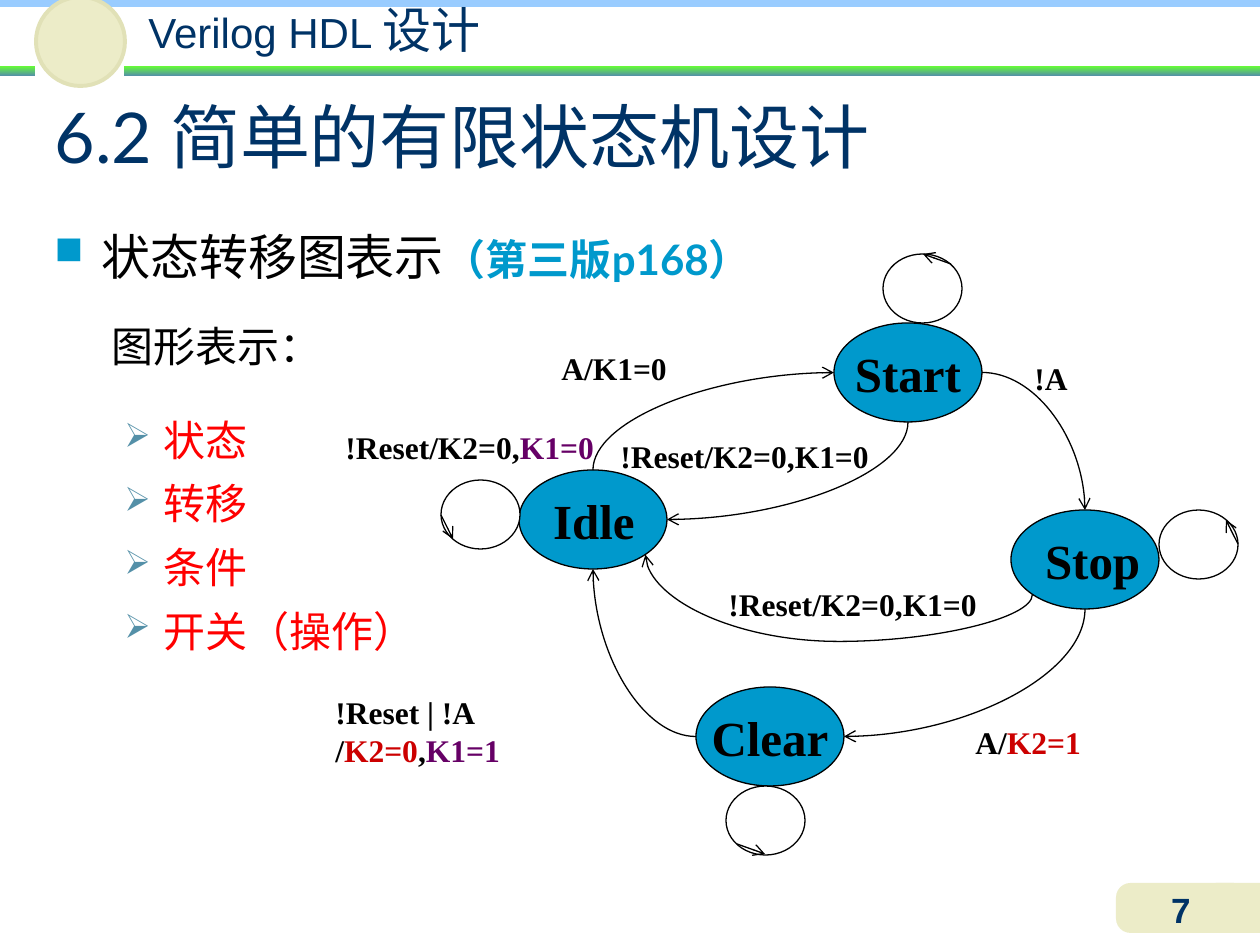
from lxml.etree import SubElement
from pptx import Presentation
from pptx.dml.color import RGBColor
from pptx.enum.shapes import MSO_CONNECTOR, MSO_SHAPE
from pptx.enum.text import MSO_ANCHOR, PP_ALIGN
from pptx.oxml.ns import qn
from pptx.util import Emu, Pt

SCALE = 914400 / 126
NAVY = RGBColor(0x00, 0x33, 0x66)
BLUE = RGBColor(0x00, 0x99, 0xCC)
SKY = RGBColor(0x99, 0xCC, 0xFF)
TEAL = RGBColor(0x54, 0x90, 0xA8)
GREEN = RGBColor(0x66, 0xFF, 0x33)
CREAM = RGBColor(0xEC, 0xEC, 0xC8)
CREAM_EDGE = RGBColor(0xE1, 0xE1, 0xB7)
RED = RGBColor(0xFF, 0x00, 0x00)
CRIMSON = RGBColor(0xCC, 0x00, 0x00)
PURPLE = RGBColor(0x66, 0x00, 0x66)
BLACK = RGBColor(0x00, 0x00, 0x00)
WHITE = RGBColor(0xFF, 0xFF, 0xFF)
SERIF = "Times New Roman"
CJK = "Noto Sans CJK SC"


def px(*lengths):
    """Turn pixel lengths into EMU."""
    return [Emu(round(length * SCALE)) for length in lengths]


def write(paragraph, parts, font="Lato", bold=False):
    """Fill a paragraph with (text, size, colour) runs."""
    for text, size, color in parts:
        run = paragraph.add_run()
        run.text = text
        run.font.size, run.font.name, run.font.bold = Pt(size), font, bold
        run.font.color.rgb = color
        SubElement(run.font._element, qn("a:ea")).set("typeface", CJK)


def add_text(slide, box, parts, font="Lato", bold=False, wrap=True):
    """Add a text box and return its first paragraph."""
    frame = slide.shapes.add_textbox(*px(*box)).text_frame
    frame.word_wrap = wrap
    write(frame.paragraphs[0], parts, font, bold)
    return frame.paragraphs[0]


def add_solid(slide, kind, box, fill, line=None, width=0.75):
    """Add a filled preset shape, outlined when a line colour is given."""
    shape = slide.shapes.add_shape(kind, *px(*box))
    shape.shadow.inherit = False
    shape.fill.solid()
    shape.fill.fore_color.rgb = fill
    if line is None:
        shape.line.fill.background()
    else:
        shape.line.color.rgb = line
        shape.line.width = Pt(width)
    return shape


def set_bullet(paragraph, mark, color, margin, indent):
    """Give a paragraph a coloured bullet and a hanging indent."""
    properties = paragraph._p.get_or_add_pPr()
    for name, length in zip(("marL", "indent"), px(margin, indent)):
        properties.set(name, str(length))
    bullet_color = SubElement(properties, qn("a:buClr"))
    SubElement(bullet_color, qn("a:srgbClr")).set("val", str(color))
    SubElement(properties, qn("a:buSzPct")).set("val", "80000")
    SubElement(properties, qn("a:buChar")).set("char", mark)


def add_arrow(slide, kind, start, end):
    """Add a thin black connector with an open arrowhead at its end."""
    connector = slide.shapes.add_connector(kind, *px(*start, *end))
    connector.line.color.rgb = BLACK
    connector.line.width = Pt(0.75)
    SubElement(connector.line._get_or_add_ln(), qn("a:tailEnd")).set("type", "arrow")
    SubElement(connector._element.spPr, qn("a:effectLst"))
    return connector


def add_transition(slide, source, source_site, target, target_site, turn, adjust=None):
    """Curve from one state to another; turn is the clockwise rotation of the curve."""
    start, end = site_point(source, source_site), site_point(target, target_site)
    connector = add_arrow(slide, MSO_CONNECTOR.CURVE, start, end)
    links = connector._element.find(".//" + qn("p:cNvCxnSpPr"))
    for tag, shape, site in (("a:stCxn", source, source_site), ("a:endCxn", target, target_site)):
        link = SubElement(links, qn(tag))
        link.set("id", str(shape.shape_id))
        link.set("idx", str(site))
    width, height = abs(end[0] - start[0]), abs(end[1] - start[1])
    if turn % 180:
        width, height = height, width
    left = (start[0] + end[0] - width) / 2
    top = (start[1] + end[1] - height) / 2
    connector.left, connector.top, connector.width, connector.height = px(left, top, width, height)
    frame = connector._element.spPr.find(qn("a:xfrm"))
    for flip in ("flipH", "flipV"):
        frame.attrib.pop(flip, None)
    frame.set("rot", str(turn * 60000))
    geometry = connector._element.spPr.find(qn("a:prstGeom"))
    if adjust is None:
        geometry.set("prst", "curvedConnector2")
    else:
        frame.set("flipH", "1")
        guide = SubElement(geometry.find(qn("a:avLst")), qn("a:gd"))
        guide.set("name", "adj1")
        guide.set("fmla", f"val {round(adjust * 100000)}")


def site_point(state, site):
    """Pixel position of an ellipse's connection site, counted anticlockwise from the top."""
    across = (0, -0.71, -1, -0.71, 0, 0.71, 1, 0.71)[site]
    down = (-1, -0.71, 0, 0.71, 1, 0.71, 0, -0.71)[site]
    return ((state.left + state.width / 2 * (1 + across)) / SCALE,
            (state.top + state.height / 2 * (1 + down)) / SCALE)


def add_header(slide, width):
    """Draw the top band, the green rule, the round badge and the course name."""
    for left, right in ((124, width), (0, 35)):
        rule = add_solid(slide, MSO_SHAPE.RECTANGLE, (left, 66, right - left, 10), GREEN)
        rule.fill.gradient()
        rule.fill.gradient_angle = 270
        for stop, color, position in zip(rule.fill.gradient_stops, (GREEN, TEAL), (0, 1)):
            stop.color.rgb, stop.position = color, position
    add_solid(slide, MSO_SHAPE.RECTANGLE, (0, -3, width, 10), SKY)
    add_solid(slide, MSO_SHAPE.OVAL, (36, -3, 89, 89), CREAM, CREAM_EDGE, 2.25)
    course = add_text(slide, (136, 0, 504, 60),
                      [("Verilog HDL ", 24, NAVY), ("设计", 28, NAVY)], "Arial")
    course._parent.margin_top = 0


def add_page_number(slide, left, top):
    """Draw the page tab in the lower right corner."""
    add_solid(slide, MSO_SHAPE.RECTANGLE, (left + 100, top, 44, 50), CREAM)
    tab = add_solid(slide, MSO_SHAPE.ROUNDED_RECTANGLE, (left, top, 132, 50), CREAM)
    tab.adjustments[0] = 0.29
    number = add_text(slide, (left + 7, top - 1, 116, 42), [("7", 20, NAVY)], "Arial", True)
    number.alignment = PP_ALIGN.CENTER


def add_outline(slide, left, top):
    """Write the heading, the sub-heading and the bulleted list."""
    heading = add_text(slide, (left, top, 1169, 115), [("状态转移图表示", 28, BLACK)])
    write(heading, [("（第三版p168）", 24, BLUE)], bold=True)
    heading.space_before = Pt(5.6)
    set_bullet(heading, "■", BLUE, 47, -47)
    add_text(slide, (left + 57, top + 94, 403, 64), [("图形表示：", 24, BLACK)], CJK)
    items = ("状态", "转移", "条件", "开关（操作）")
    paragraph = add_text(slide, (left + 7, top + 183, 520, 265), [(items[0], 24, RED)])
    frame = paragraph._parent
    for item in items[1:]:
        write(frame.add_paragraph(), [(item, 24, RED)])
    for paragraph in frame.paragraphs:
        paragraph.line_spacing, paragraph.space_before = 1.1, Pt(4.8)
        set_bullet(paragraph, "➢", TEAL, 102, -39)


def add_state_diagram(slide, left, top):
    """Draw the states, their self loops, the transitions and the conditions."""
    states = {}
    for name, x, y, align in (("Start", 511, 69, PP_ALIGN.CENTER), ("Stop", 688, 256, PP_ALIGN.LEFT),
                              ("Clear", 373, 433, PP_ALIGN.CENTER), ("Idle", 196, 216, PP_ALIGN.LEFT)):
        state = add_solid(slide, MSO_SHAPE.OVAL, (left + x, top + y, 148, 99), BLUE, BLACK)
        state.text_frame.word_wrap = False
        state.text_frame.vertical_anchor = MSO_ANCHOR.TOP
        paragraph = state.text_frame.paragraphs[0]
        paragraph.alignment = align
        write(paragraph, [(name, 28, BLACK)], SERIF, True)
        states[name] = state
    for source, source_site, target, target_site, turn, adjust in (
            ("Start", 6, "Stop", 0, 0, None), ("Stop", 4, "Clear", 6, 90, None),
            ("Clear", 2, "Idle", 4, 180, None), ("Idle", 0, "Start", 2, 270, None),
            ("Start", 4, "Idle", 6, 90, None), ("Stop", 3, "Idle", 5, 90, -1.17)):
        add_transition(slide, states[source], source_site, states[target], target_site, turn, adjust)
    for x, y, start, end in ((560, 0, (68, 10), (40, 0)), (836, 256, (79, 34), (67, 10)),
                             (118, 226, (0, 35), (12, 59)), (403, 532, (11, 58), (39, 68))):
        x, y = left + x, top + y
        add_solid(slide, MSO_SHAPE.OVAL, (x, y, 79, 69), WHITE, BLACK)
        add_arrow(slide, MSO_CONNECTOR.STRAIGHT, (x + start[0], y + start[1]), (x + end[0], y + end[1]))
    reset = [("!Reset/K2=0,K1=0", BLACK)]
    for x, y, parts in (
            (226, 89, [("A/K1=0", BLACK)]),
            (10, 168, [("!Reset/K2=0,", BLACK), ("K1=0", PURPLE)]),
            (285, 177, reset), (699, 99, [("!A", BLACK)]), (393, 325, reset),
            (640, 463, [("A/", BLACK), ("K2=1", CRIMSON)]),
            (0, 433, [("!Reset | !A /", BLACK), ("K2=0", CRIMSON), (",", BLACK), ("K1=1", PURPLE)])):
        add_text(slide, (left + x, top + y, 286, 50),
                 [(text, 18, color) for text, color in parts], SERIF, True, wrap=False)


def build_slide(presentation):
    """Build the state machine slide."""
    slide = presentation.slides.add_slide(presentation.slide_layouts[5])
    add_header(slide, 1260)
    add_page_number(slide, 1116, 883)
    title = slide.shapes.title
    title.left, title.top, title.width, title.height = px(42, 73, 1191, 126)
    title.text_frame.vertical_anchor = MSO_ANCHOR.MIDDLE
    title.text_frame.paragraphs[0].alignment = PP_ALIGN.LEFT
    write(title.text_frame.paragraphs[0], [("6.2 简单的有限状态机设计", 40, NAVY)])
    add_outline(slide, 42, 220)
    add_state_diagram(slide, 323, 254)


presentation = Presentation()
presentation.slide_width, presentation.slide_height = px(1260, 945)
build_slide(presentation)
presentation.save("out.pptx")
